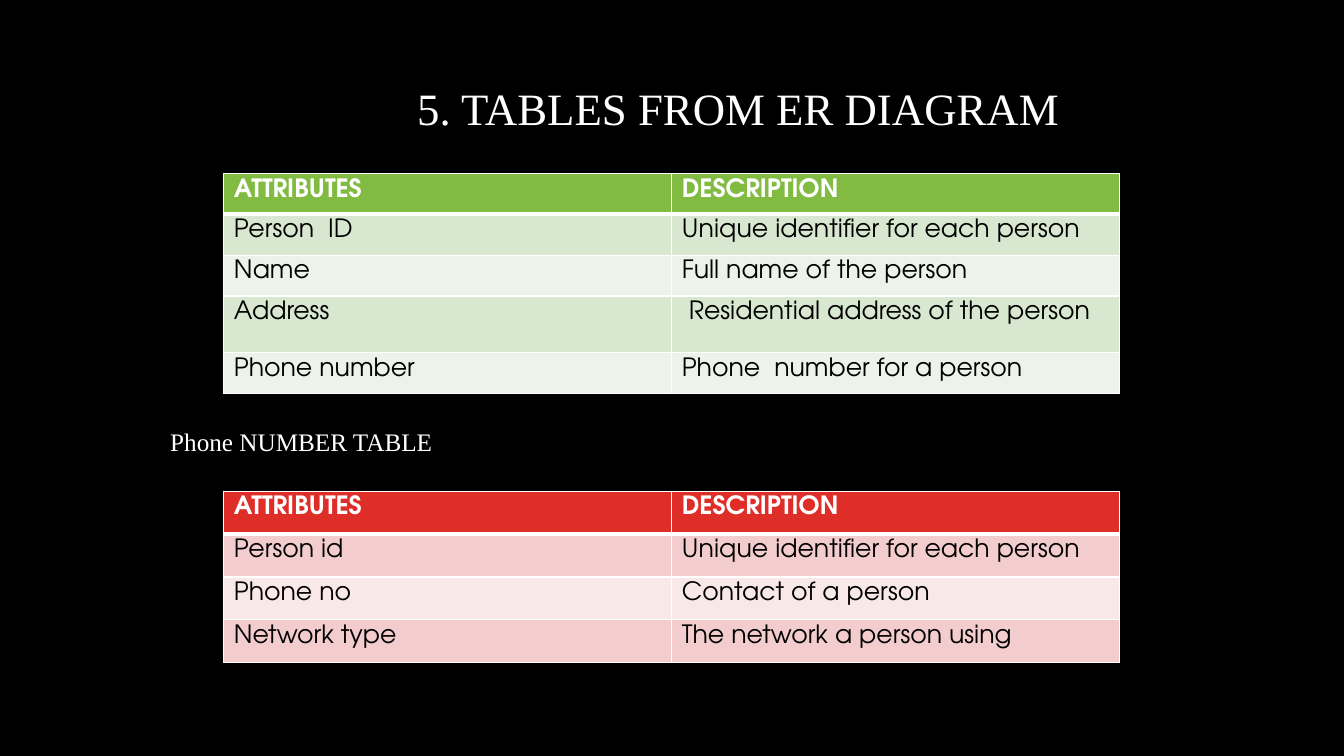
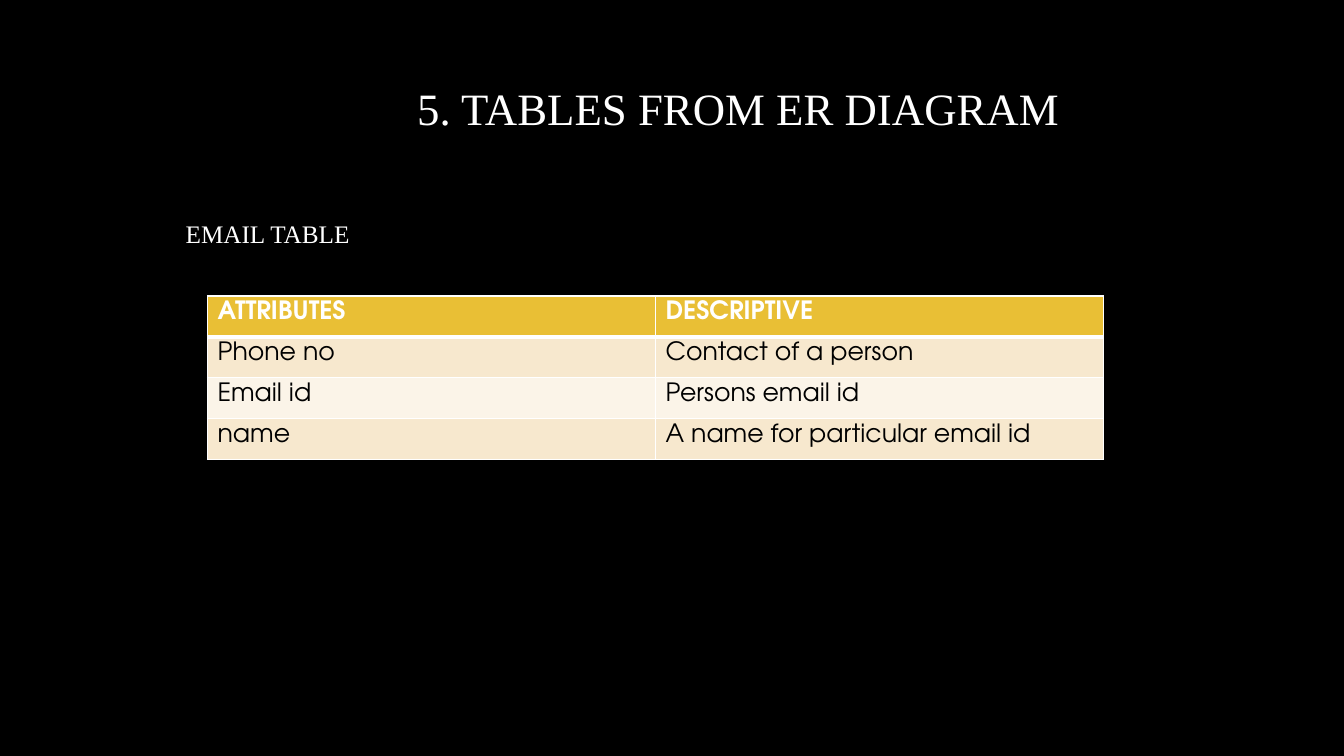
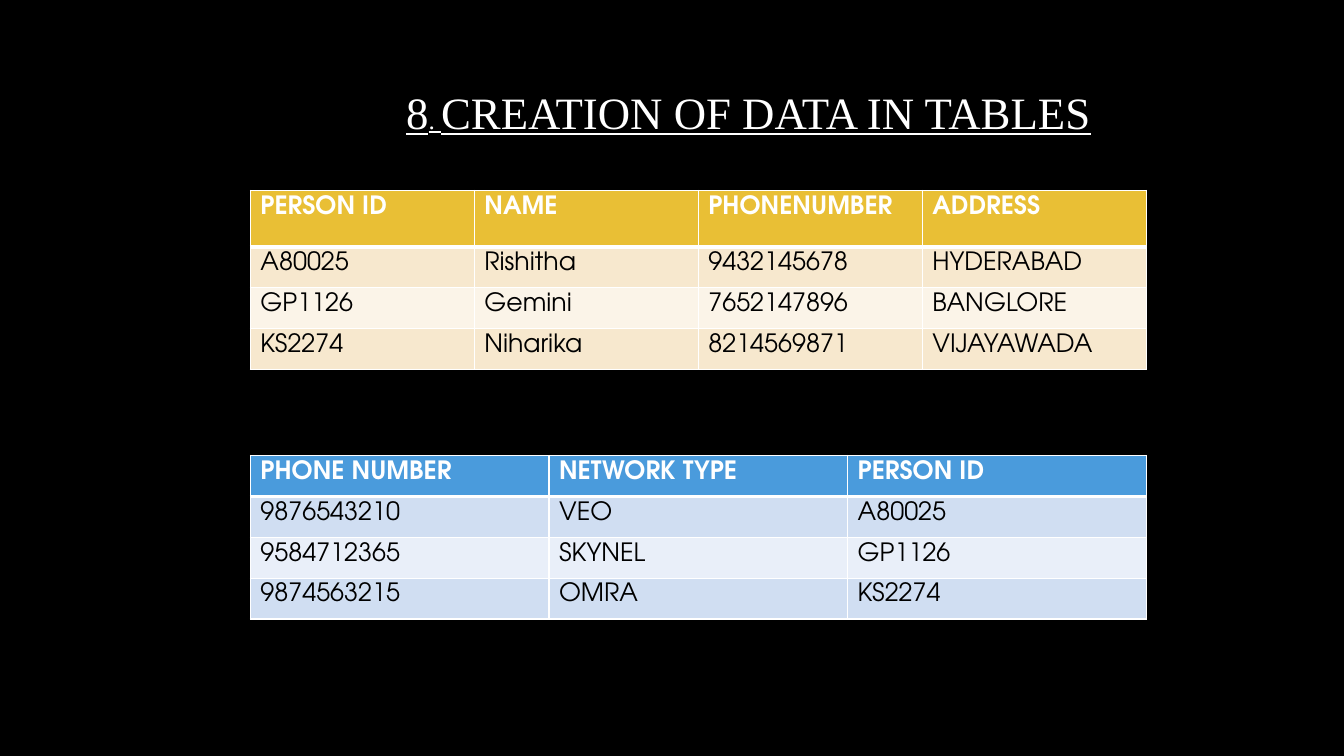
from dataclasses import dataclass

from lxml.etree import SubElement
from pptx import Presentation
from pptx.dml.color import RGBColor
from pptx.enum.text import MSO_ANCHOR, MSO_AUTO_SIZE, PP_ALIGN
from pptx.oxml.ns import qn
from pptx.util import Cm, Pt

SERIF, SANS = "Times New Roman", "TeX Gyre Adventor"
WHITE, BLACK = "FFFFFF", "000000"
SLIDE_W, SLIDE_H = 33.87, 19.05
TABLE_W = 22.58
ROW_H, MID_ROW_H, TALL_ROW_H = 1.03, 1.08, 1.42
TITLE_SIZE, BODY_SIZE = 32, 18


@dataclass(frozen=True)
class Palette:
    header: str
    odd: str
    even: str


GREEN = Palette("81BB42", "D8E7CF", "EDF3E9")
RED = Palette("DF2E28", "F3CDCD", "F9E8E8")
GOLD = Palette("E9BF35", "F7E8CE", "FBF4E8")
BLUE = Palette("4A9BDC", "D0DEF2", "E9EFF9")


@dataclass(frozen=True)
class Span:
    text: str
    size: int = TITLE_SIZE


@dataclass(frozen=True)
class Title:
    spans: tuple[Span, ...]
    left: float
    top: float
    align: PP_ALIGN
    underline: bool = False


@dataclass(frozen=True)
class Caption:
    text: str
    left: float
    top: float


@dataclass(frozen=True)
class Grid:
    left: float
    top: float
    palette: Palette
    heights: tuple[float, ...]
    rows: tuple[tuple[str, ...], ...]


@dataclass(frozen=True)
class Page:
    title: Title
    captions: tuple[Caption, ...]
    grids: tuple[Grid, ...]


ER_TITLE = Title((Span("5. TABLES FROM ER DIAGRAM"),), 10.26, 1.9, PP_ALIGN.JUSTIFY)
DATA_TITLE = Title(
    (Span("8"), Span(". ", BODY_SIZE), Span("CREATION OF DATA IN TABLES")),
    9.98, 2, PP_ALIGN.LEFT, underline=True,
)

PAGES = (
    Page(
        ER_TITLE,
        (Caption("Phone NUMBER TABLE", 4.04, 10.62),),
        (
            Grid(5.64, 4.37, GREEN, (ROW_H,) * 3 + (TALL_ROW_H, ROW_H), (
                ("ATTRIBUTES", "DESCRIPTION"),
                ("Person  ID", "Unique identifier for each person"),
                ("Name", "Full name of the person"),
                ("Address", " Residential address of the person"),
                ("Phone number", "Phone  number for a person"),
            )),
            Grid(5.64, 12.38, RED, (MID_ROW_H,) * 4, (
                ("ATTRIBUTES", "DESCRIPTION"),
                ("Person id", "Unique identifier for each person"),
                ("Phone no", "Contact of a person"),
                ("Network type", "The network a person using"),
            )),
        ),
    ),
    Page(
        ER_TITLE,
        (Caption("EMAIL TABLE", 4.43, 5.38),),
        (
            Grid(5.23, 7.46, GOLD, (ROW_H,) * 4, (
                ("ATTRIBUTES", "DESCRIPTIVE"),
                ("Phone no", "Contact of a person"),
                ("Email id", "Persons email id"),
                ("name", "A name for particular email id"),
            )),
        ),
    ),
    Page(
        DATA_TITLE,
        (),
        (
            Grid(6.31, 4.8, GOLD, (TALL_ROW_H,) + (ROW_H,) * 3, (
                ("PERSON ID", "NAME", "PHONENUMBER", "ADDRESS"),
                ("A80025", "Rishitha", "9432145678", "HYDERABAD"),
                ("GP1126", "Gemini", "7652147896", "BANGLORE"),
                ("KS2274", "Niharika", "8214569871", "VIJAYAWADA"),
            )),
            Grid(6.31, 11.48, BLUE, (ROW_H,) * 4, (
                ("PHONE NUMBER", "NETWORK TYPE", "PERSON ID"),
                ("9876543210", "VEO", "A80025"),
                ("9584712365", "SKYNEL", "GP1126"),
                ("9874563215", "OMRA", "KS2274"),
            )),
        ),
    ),
)


def rgb(color: str) -> RGBColor:
    return RGBColor.from_string(color)


def add_run(p, text: str, size: int, font: str, color: str,
            bold: bool = False, underline: bool = False) -> None:
    r = p.add_run()
    r.text = text
    r.font.size = Pt(size)
    r.font.name = font
    r.font.color.rgb = rgb(color)
    r.font.bold = bold
    r.font.underline = underline


def place_title(s, title: Title) -> None:
    sp = s.shapes.title
    sp.left, sp.top = Cm(title.left), Cm(title.top)
    sp.width, sp.height = Cm(SLIDE_W - title.left), Cm(1.62)
    tf = sp.text_frame
    tf.word_wrap = True
    tf.auto_size = MSO_AUTO_SIZE.SHAPE_TO_FIT_TEXT
    tf.vertical_anchor = MSO_ANCHOR.TOP
    p = tf.paragraphs[0]
    p.alignment = title.align
    p.space_before = Pt(0)
    for span in title.spans:
        add_run(p, span.text, span.size, SERIF, WHITE, underline=title.underline)


def add_caption(s, caption: Caption) -> None:
    sp = s.shapes.add_textbox(Cm(caption.left), Cm(caption.top), Cm(7.7), Cm(1.02))
    tf = sp.text_frame
    tf.word_wrap = True
    tf.auto_size = MSO_AUTO_SIZE.SHAPE_TO_FIT_TEXT
    add_run(tf.paragraphs[0], caption.text, BODY_SIZE, SERIF, WHITE)


def set_borders(cell, top: int, bottom: int) -> None:
    """Draw white cell borders; top and bottom widths are in points."""
    tc_pr = cell._tc.get_or_add_tcPr()
    for side, width in (("L", 1), ("R", 1), ("T", top), ("B", bottom)):
        ln = SubElement(tc_pr, qn(f"a:ln{side}"), w=str(Pt(width)))
        fill = SubElement(ln, qn("a:solidFill"))
        SubElement(fill, qn("a:srgbClr"), val=WHITE)


def add_grid(s, grid: Grid) -> None:
    n_cols = len(grid.rows[0])
    table = s.shapes.add_table(
        len(grid.rows), n_cols, Cm(grid.left), Cm(grid.top),
        Cm(TABLE_W), Cm(sum(grid.heights)),
    ).table
    for column in table.columns:
        column.width = Cm(TABLE_W / n_cols)
    palette = grid.palette
    for i, (height, texts) in enumerate(zip(grid.heights, grid.rows)):
        table.rows[i].height = Cm(height)
        header = i == 0
        color = palette.header if header else palette.odd if i % 2 else palette.even
        for j, text in enumerate(texts):
            cell = table.cell(i, j)
            set_borders(cell, top=3 if i == 1 else 1, bottom=3 if header else 1)
            cell.fill.solid()
            cell.fill.fore_color.rgb = rgb(color)
            add_run(cell.text_frame.paragraphs[0], text, BODY_SIZE, SANS,
                    WHITE if header else BLACK, bold=header)


def main() -> None:
    prs = Presentation()
    prs.slide_width, prs.slide_height = Cm(SLIDE_W), Cm(SLIDE_H)
    background = prs.slide_master.background.fill
    background.solid()
    background.fore_color.rgb = rgb(BLACK)
    title_only = prs.slide_layouts[5]
    for page in PAGES:
        s = prs.slides.add_slide(title_only)
        place_title(s, page.title)
        for caption in page.captions:
            add_caption(s, caption)
        for grid in page.grids:
            add_grid(s, grid)
    prs.save("out.pptx")


if __name__ == "__main__":
    main()
